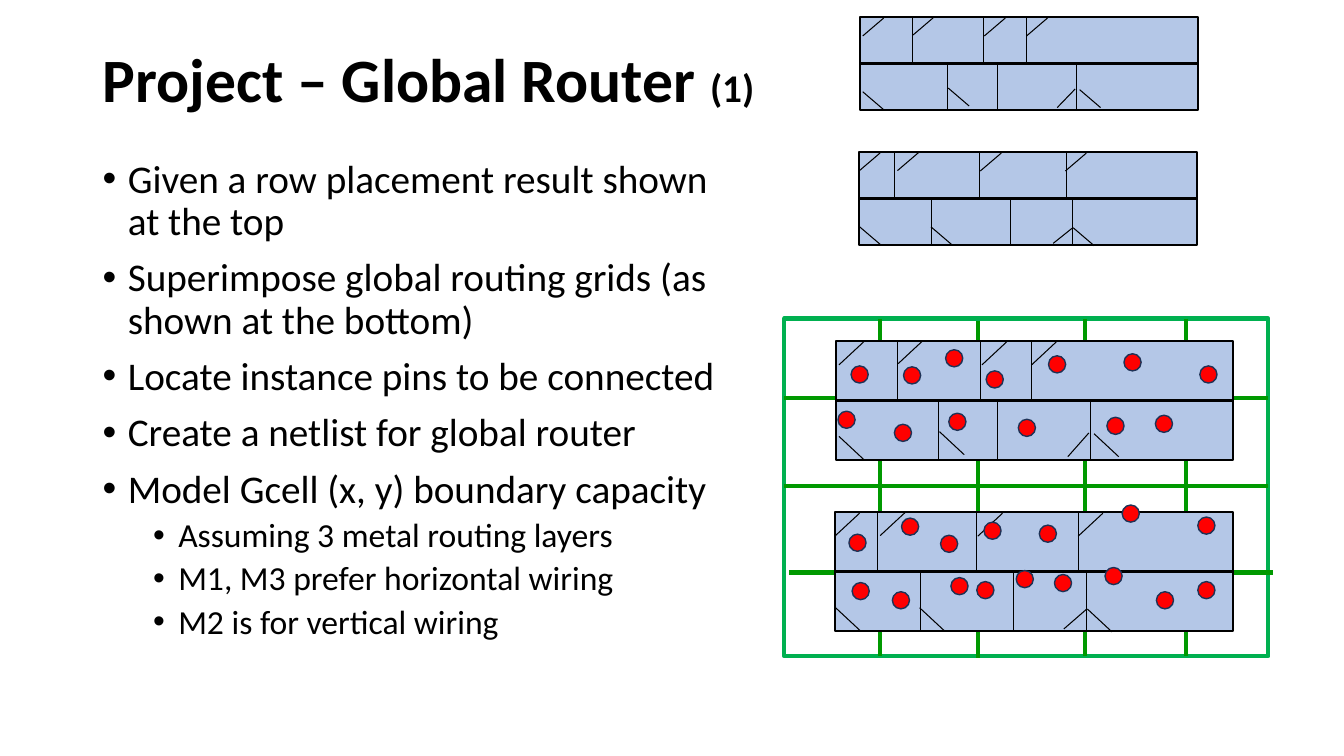
"""Build the global router slide: bullets, row placements and routing grid."""
from lxml import etree
from pptx import Presentation
from pptx import util as u
from pptx.dml.color import RGBColor
from pptx.enum import shapes, text
from pptx.oxml.ns import qn

BLACK = RGBColor(0x00, 0x00, 0x00)
CELL = RGBColor(0xB4, 0xC7, 0xE7)
FRAME = RGBColor(0x00, 0xB0, 0x50)
GRID = RGBColor(0x00, 0x99, 0x00)
PIN = RGBColor(0xFF, 0x00, 0x00)
RIM = RGBColor(0x1E, 0x32, 0x56)

TITLE = [("Project – Global Router ", 44), ("(1)", 28)]
BULLETS = [
    (0, "Given a row placement result shown at the top"),
    (0, "Superimpose global routing grids (as shown at the bottom)"),
    (0, "Locate instance pins to be connected"),
    (0, "Create a netlist for global router"),
    (0, "Model Gcell (x, y) boundary capacity"),
    (1, "Assuming 3 metal routing layers"),
    (1, "M1, M3 prefer horizontal wiring"),
    (1, "M2 is for vertical wiring"),
]
LEVELS = [(28, 10, 0.25), (24, 5, 0.75)]

# Row patterns and pins are in percent of their block.
TICK = (6.2, 19.3)
ROWS = {
    "A": {
        "upper": [15.5, 36.5, 49.2],
        "lower": [25.9, 40.6, 64],
        "rise": [(0.8, 1), (15.7, 0), (36.8, 1), (49.3, 1)],
        "fall": [(0.8, 80.5), (26.1, 76.5), (65, 78.2)],
        "short": (63.7, 77.5, 58.4, 97.5),
        "pins": [(74.7, 18.2), (93.8, 28.4), (6, 28.4), (2.7, 66.5),
                 (19.2, 29.2), (29.8, 14.8), (40, 32.6), (55.7, 19.9),
                 (16.9, 77.5), (30.6, 68.2), (48.1, 73.3), (70.4, 71.6),
                 (82.6, 69.9)],
    },
    "B": {
        "upper": [10.6, 35.7, 61.3],
        "lower": [21.5, 44.8, 63.2],
        "rise": [(0, 1), (11.4, 0.5), (35.9, 1), (61.1, 1)],
        "fall": [(0.2, 80.5), (21.3, 80.5), (63.4, 81.5)],
        "short": (63.1, 82, 57.5, 98.3),
        "pins": [(74.3, 1.3), (93.3, 11.4), (5.7, 25.8), (6.5, 66.5),
                 (18.9, 12.3), (28.7, 26.7), (39.6, 15.7), (53.5, 18.2),
                 (16.6, 74.2), (37.8, 65.7), (47.7, 56.4), (70, 53.8),
                 (82.9, 74.2), (31.3, 62.3), (57.3, 59.7), (93.3, 65.7)],
    },
}
PLACED = [("A", (8.53, 0.17, 3.35, 0.92)), ("B", (8.52, 1.51, 3.35, 0.92))]
ROUTED = [("A", (8.29, 3.38, 3.94, 1.18)), ("B", (8.28, 5.08, 3.95, 1.18))]
AREA = (7.78, 3.16, 4.8, 3.35)
ACROSS = [(23.6, 0), (49.6, 0), (75.2, 0.05)]
DOWN = [(19.8, 0), (40, 0.02), (62.1, 0), (82.9, 0)]
DOT = 0.17


def spot(box, x, y):
    return box[0] + box[2] * x / 100, box[1] + box[3] * y / 100


def line(home, start, end, color=BLACK, width=0.75):
    wire = home.add_connector(shapes.MSO_CONNECTOR.STRAIGHT,
                              *map(u.Inches, start + end))
    wire.line.color.rgb = color
    wire.line.width = u.Pt(width)
    etree.SubElement(wire._element.spPr, qn("a:effectLst"))
    return wire


def form(home, kind, box, fill, edge, width):
    item = home.add_shape(kind, *map(u.Inches, box))
    item.shadow.inherit = False
    if fill is None:
        item.fill.background()
    else:
        item.fill.solid()
        item.fill.fore_color.rgb = fill
    item.line.color.rgb = edge
    item.line.width = u.Pt(width)
    return item


def block(home, row, box):
    def cut(x1, y1, x2, y2):
        return line(home, spot(box, x1, y1), spot(box, x2, y2))

    base = form(home, shapes.MSO_SHAPE.RECTANGLE, box, CELL, BLACK, 1.5)
    rail = line(home, spot(box, 0, 50), spot(box, 100, 50), BLACK, 2.25)
    rail.begin_connect(base, 1)
    rail.end_connect(base, 3)
    for x in row["upper"]:
        cut(x, 0, x, 50)
    for x in row["lower"]:
        cut(x, 50, x, 100)
    wide, high = TICK
    for x, y in row["rise"]:
        cut(x + wide, y, x, y + high)
    for x, y in row["fall"]:
        cut(x, y, x + wide, y + high)
    cut(*row["short"])


def pair(home, blocks):
    group = home.add_group_shape()
    for name, box in blocks:
        block(group.shapes, ROWS[name], box)


def grid(home):
    left, top, wide, high = AREA
    form(home, shapes.MSO_SHAPE.RECTANGLE, AREA, None, FRAME, 3)
    for share, shift in ACROSS:
        y = top + high * share / 100
        line(home, (left + shift, y), (left + wide + shift, y), GRID, 3)
    for share, shift in DOWN:
        x = left + wide * share / 100
        line(home, (x, top + shift), (x, top + high + shift), GRID, 3)


def pins(home):
    for name, box in ROUTED:
        for x, y in ROWS[name]["pins"]:
            mid, row = spot(box, x, y)
            form(home, shapes.MSO_SHAPE.OVAL,
                 (mid - DOT / 2, row - DOT / 2, DOT, DOT), PIN, RIM, 1)


def frame(home, box):
    area = home.add_textbox(*map(u.Inches, box)).text_frame
    area.word_wrap = True
    return area


def write(para, words, size, bold=False):
    run = para.add_run()
    run.text = words
    run.font.name = "Calibri"
    run.font.size = u.Pt(size)
    run.font.bold = bold
    run.font.color.rgb = BLACK


def words(home):
    head = frame(home, (0.92, 0.4, 11.5, 0.83))
    head.vertical_anchor = text.MSO_ANCHOR.MIDDLE
    head.paragraphs[0].line_spacing = 0.9
    for part, size in TITLE:
        write(head.paragraphs[0], part, size, True)

    body = frame(home, (0.92, 1.53, 6.36, 5.23))
    for i, (level, part) in enumerate(BULLETS):
        para = body.add_paragraph() if i else body.paragraphs[0]
        size, gap, indent = LEVELS[level]
        para.level = level
        para.line_spacing = 0.9
        para.space_before = u.Pt(gap)
        props = para._p.get_or_add_pPr()
        props.set("marL", str(u.Inches(indent)))
        props.set("indent", str(-u.Inches(0.25)))
        etree.SubElement(props, qn("a:buFont"), typeface="Arial")
        etree.SubElement(props, qn("a:buChar"), char="•")
        write(para, part, size)


def main():
    deck = Presentation()
    deck.slide_width, deck.slide_height = u.Inches(13.33), u.Inches(7.5)
    home = deck.slides.add_slide(deck.slide_layouts[6]).shapes
    words(home)
    pair(home, PLACED)
    grid(home)
    pair(home, ROUTED)
    pins(home)
    deck.save("out.pptx")


if __name__ == "__main__":
    main()
